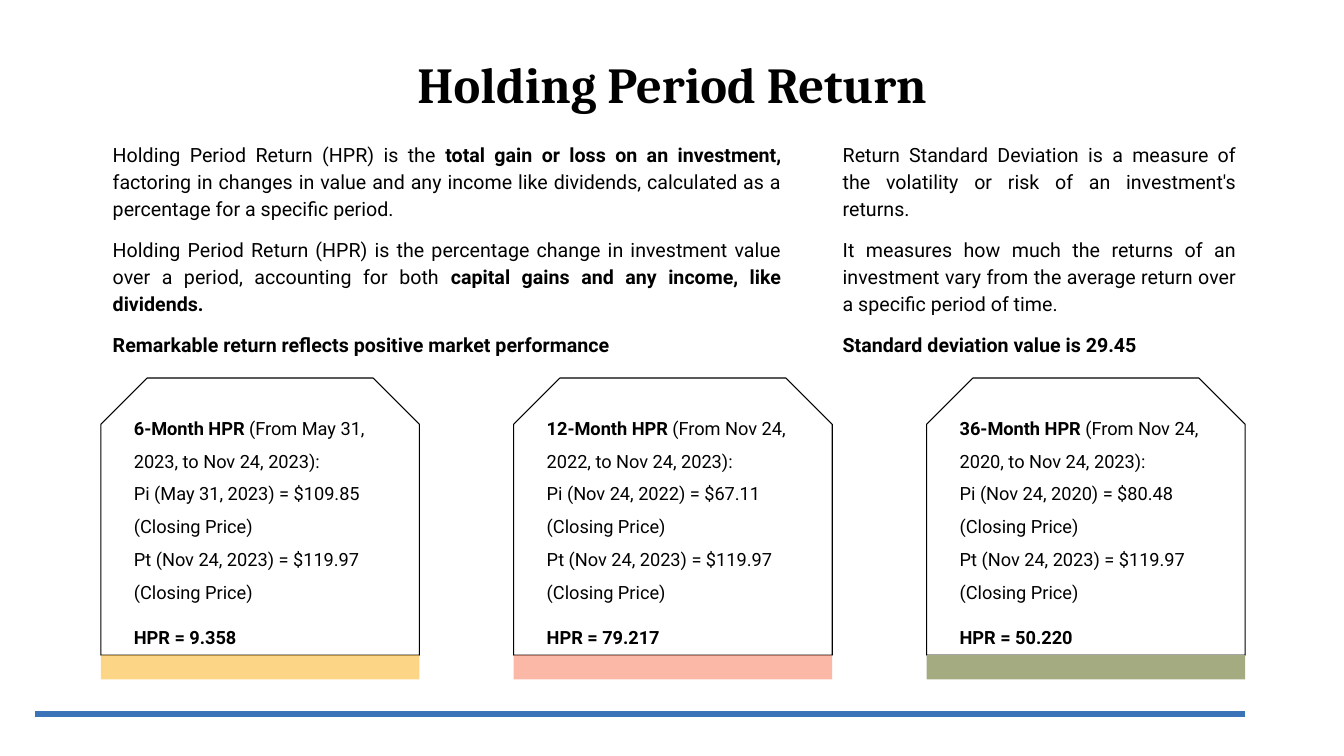
from lxml import etree
from pptx import Presentation
from pptx.dml.color import RGBColor
from pptx.enum.shapes import MSO_CONNECTOR, MSO_SHAPE
from pptx.enum.text import MSO_ANCHOR as Anchor, MSO_AUTO_SIZE as AutoSize, PP_ALIGN as Align
from pptx.oxml.ns import qn
from pptx.util import Inches, Pt


def color(hex_code):
    return RGBColor.from_string(hex_code)


class SlideBuilder:
    heading_font = "Cambria"
    body_font = "Roboto"
    ink = "000000"

    def __init__(self, deck):
        self.slide = deck.slides.add_slide(deck.slide_layouts[5])

    def add_runs(self, paragraph, runs, size, font):
        for text, bold in runs:
            run = paragraph.add_run()
            run.text = text
            run.font.name = font
            run.font.size = Pt(size)
            run.font.bold = bold
            run.font.color.rgb = color(self.ink)

    def frame(self, shape, insets, anchor):
        frame = shape.text_frame
        frame.word_wrap = True
        frame.auto_size = AutoSize.NONE
        frame.vertical_anchor = anchor
        frame.margin_left, frame.margin_top, frame.margin_right, frame.margin_bottom = map(Inches, insets)
        return frame

    def paragraphs(self, frame, content, size, align, line_spacing, gaps):
        for i, (runs, gap) in enumerate(zip(content, gaps)):
            paragraph = frame.paragraphs[0] if i == 0 else frame.add_paragraph()
            paragraph.alignment = align
            paragraph.line_spacing = line_spacing
            paragraph.space_before = Pt(gap)
            self.add_runs(paragraph, runs, size, self.body_font)

    def title(self, text, left, top, width, height):
        title = self.slide.shapes.title
        title.left, title.top, title.width, title.height = map(Inches, (left, top, width, height))
        frame = self.frame(title, (0.1, 0.05, 0.1, 0.05), Anchor.MIDDLE)
        heading = frame.paragraphs[0]
        heading.alignment = Align.CENTER
        heading.line_spacing = 0.9
        self.add_runs(heading, [(text, True)], 36, self.heading_font)

    def column(self, content, left, top, width, height):
        box = self.slide.shapes.add_textbox(*map(Inches, (left, top, width, height)))
        frame = self.frame(box, (0.1,) * 4, Anchor.TOP)
        self.paragraphs(frame, content, 14, Align.JUSTIFY, 1.15, (0, 10, 10))

    def shape(self, kind, fill, left, top, width, height):
        shape = self.slide.shapes.add_shape(kind, *map(Inches, (left, top, width, height)))
        shape.shadow.inherit = False
        shape.fill.solid()
        shape.fill.fore_color.rgb = color(fill)
        return shape

    def card(self, content, left, top, width, height):
        card = self.shape(MSO_SHAPE.SNIP_2_SAME_RECTANGLE, "FFFFFF", left, top, width, height)
        card.adjustments[0] = 0.167
        card.adjustments[1] = 0
        card.line.color.rgb = color(self.ink)
        card.line.width = Pt(0.75)
        frame = self.frame(card, (0.1, 0.05, 0.1, 0), Anchor.TOP)
        self.paragraphs(frame, content, 13, Align.LEFT, 1.5, (0, 0, 0, 9))

    def band(self, fill, opacity, left, top, width, height):
        band = self.shape(MSO_SHAPE.RECTANGLE, fill, left, top, width, height)
        band.line.fill.background()
        if opacity < 100:
            tint = band._element.spPr.find(qn("a:solidFill")).find(qn("a:srgbClr"))
            etree.SubElement(tint, qn("a:alpha")).set("val", str(opacity * 1000))

    def rule(self, hex_code, weight, start, end):
        rule = self.slide.shapes.add_connector(MSO_CONNECTOR.STRAIGHT, *map(Inches, start + end))
        rule.line.color.rgb = color(hex_code)
        rule.line.width = Pt(weight)
        etree.SubElement(rule._element.spPr, qn("a:effectLst"))


HPR_TEXT = [
    [
        ("Holding Period Return (HPR) is the ", False),
        ("total gain or loss on an investment,", True),
        (" factoring in changes in value and any income like dividends, "
         "calculated as a percentage for a specific period.", False),
    ],
    [
        ("Holding Period Return (HPR) is the percentage change in investment value "
         "over a period, accounting for both", False),
        (" capital gains and any income, like dividends.", True),
    ],
    [("Remarkable return reflects positive market performance", True)],
]
DEVIATION_TEXT = [
    [("Return Standard Deviation is a measure of the volatility or risk of an "
      "investment's returns.", False)],
    [("It measures how much the returns of an investment vary from the average "
      "return over a specific period of time.", False)],
    [("Standard deviation value is 29.45", True)],
]
PERIODS = [
    (6, "May 31, 2023", "109.85", "9.358", "FBB831", 58),
    (12, "Nov 24, 2022", "67.11", "79.217", "FB8569", 58),
    (36, "Nov 24, 2020", "80.48", "50.220", "A5AB81", 100),
]
END_DATE, END_PRICE = "Nov 24, 2023", "119.97"
CARD_LEFT, CARD_TOP, CARD_WIDTH, CARD_HEIGHT = 1, 3.75, 3.16, 2.75
CARD_PITCH = (9.19 - CARD_LEFT) / 2


def main():
    deck = Presentation()
    deck.slide_width, deck.slide_height = Inches(13.33), Inches(7.5)
    builder = SlideBuilder(deck)
    builder.title("Holding Period Return", 1, 0.53, 11.33, 0.68)
    builder.rule("3B73B9", 4.5, (12.35, 7.08), (0.35, 7.08))
    builder.column(HPR_TEXT, 1.02, 1.28, 6.83, 2.34)
    builder.column(DEVIATION_TEXT, 8.26, 1.28, 4.1, 2.34)
    for i, (months, start_date, start_price, hpr, fill, opacity) in enumerate(PERIODS):
        left = CARD_LEFT + i * CARD_PITCH
        figures = [
            [(f"{months}-Month HPR ", True), (f"(From {start_date}, to {END_DATE}):", False)],
            [(f"Pi ({start_date}) = ${start_price} (Closing Price)", False)],
            [(f"Pt ({END_DATE}) = ${END_PRICE} (Closing Price)", False)],
            [(f"HPR = {hpr}", True)],
        ]
        builder.card(figures, left, CARD_TOP, CARD_WIDTH, CARD_HEIGHT)
        builder.band(fill, opacity, left, CARD_TOP + CARD_HEIGHT, CARD_WIDTH, 0.24)
    deck.save("out.pptx")


if __name__ == "__main__":
    main()
